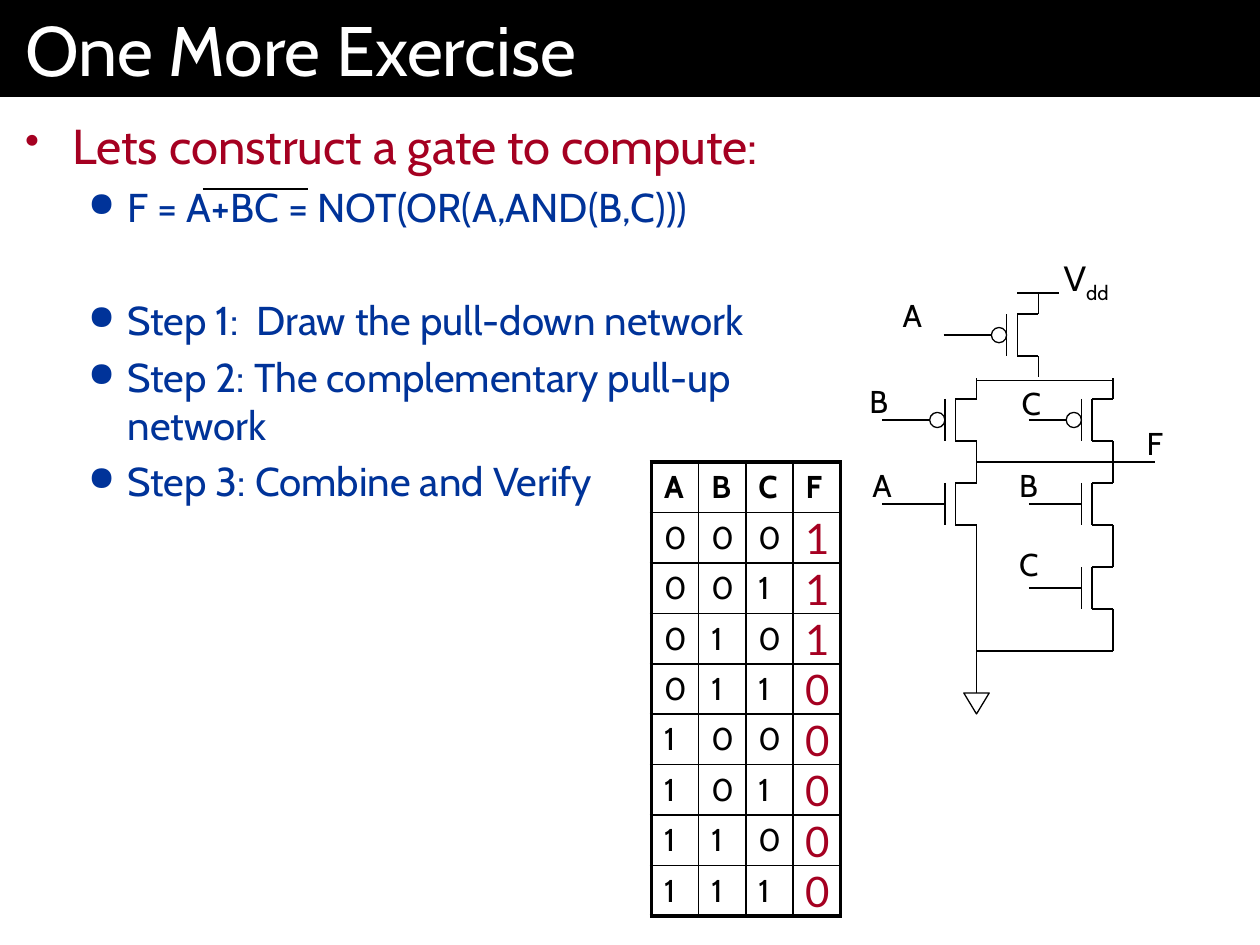
"""Build a slide on making a CMOS gate, with bullets, truth table and circuit."""
from lxml import etree
from pptx import Presentation
from pptx.dml.color import RGBColor
from pptx.enum.shapes import MSO_CONNECTOR, MSO_SHAPE
from pptx.enum.text import MSO_ANCHOR, PP_ALIGN
from pptx.oxml.ns import qn
from pptx.util import Pt

LINE = MSO_CONNECTOR.STRAIGHT
RECT, OVAL, TRI = MSO_SHAPE.RECTANGLE, MSO_SHAPE.OVAL, MSO_SHAPE.ISOSCELES_TRIANGLE
MID, LEFT, CENTER = MSO_ANCHOR.MIDDLE, PP_ALIGN.LEFT, PP_ALIGN.CENTER
BLACK, WHITE = RGBColor(0, 0, 0), RGBColor(255, 255, 255)
RED, BLUE = RGBColor(0xA5, 0x00, 0x21), RGBColor(0x00, 0x33, 0x99)
FONT, DIGIT = "Cabin", "Lato"

TITLE = "One More Exercise"
TOP = {"size": 28, "color": RED, "mark": "•", "left": 27, "hang": 27, "level": 0}
SUB = {"size": 23, "color": BLUE, "mark": "●", "left": 58.5, "hang": 22.5, "level": 1}
BODY = [
    ("Lets construct a gate to compute:", TOP, 5.6),
    ("F = A+BC = NOT(OR(A,AND(B,C)))", SUB, 4.6),
    ("Step 1:  Draw the pull-down network", SUB, 37),
    ("Step 2: The complementary pull-up network", SUB, 4.6),
    ("Step 3: Combine and Verify", SUB, 4.6),
]
HEADS = "ABCF"
INPUTS = ["000", "001", "010", "011", "100", "101", "110", "111"]
RESULTS = "11100000"

# Each gate: drain x, middle y, input x, pull-up
GATES = [
    (558, 288, 504, False), (636, 288, 588, False), (636, 336, 588, False),
    (593.25, 191.5, 539.25, True), (558, 240, 504, True), (636, 240, 588, True),
]
WIRES = [
    (558, 264, 660, 264), (558, 312, 558, 396), (636, 360, 636, 372),
    (636, 372, 558, 372), (581.25, 167.5, 605, 167.5),
    (558, 217.25, 636, 217.25), (116, 108, 175.75, 108),
]
LABELS = [
    ("F", 660, 239), ("A", 504, 262.75), ("B", 587.75, 262.75),
    ("C", 587.75, 308), ("A", 521.25, 165.5), ("B", 502.25, 214.5),
    ("C", 589.25, 216),
]


def style(para, size, color=BLACK, name=FONT, align=LEFT):
    para.alignment = align
    font = para.font
    font.size, font.name, font.color.rgb = Pt(size), name, color


def inset(frame, side, edge):
    frame.margin_left = frame.margin_right = Pt(side)
    frame.margin_top = frame.margin_bottom = Pt(edge)


def box(shapes, x, y, w, h):
    return shapes.add_textbox(Pt(x), Pt(y), Pt(w), Pt(h)).text_frame


def wire(shapes, x1, y1, x2, y2):
    line = shapes.add_connector(LINE, Pt(x1), Pt(y1), Pt(x2), Pt(y2))
    line.line.color.rgb, line.line.width = BLACK, Pt(0.75)
    etree.SubElement(line._element.spPr, qn("a:effectLst"))


def solid(shapes, kind, x, y, w, h, fill=None):
    shape = shapes.add_shape(kind, Pt(x), Pt(y), Pt(w), Pt(h))
    shape.shadow.inherit = False
    if fill is None:
        shape.fill.background()
    else:
        shape.fill.solid()
        shape.fill.fore_color.rgb = fill
    shape.line.color.rgb, shape.line.width = BLACK, Pt(0.75)
    return shape


def gate(shapes, x, y, start, pull):
    plate, bar = x - 18, x - 12
    for col in (plate, bar):
        wire(shapes, col, y - 12, col, y + 12)
    for side in (-1, 1):
        wire(shapes, bar, y + 12 * side, x, y + 12 * side)
        wire(shapes, x, y + 12 * side, x, y + 24 * side)
    wire(shapes, start, y, plate, y)
    if pull:
        solid(shapes, OVAL, plate - 8.75, y - 4.35, 8.7, 8.7, WHITE)


def bullet(para, look, gap):
    style(para, look["size"], look["color"])
    para.level, para.space_before = look["level"], Pt(gap)
    props = para._p.get_or_add_pPr()
    props.set("marL", str(Pt(look["left"])))
    props.set("indent", str(-Pt(look["hang"])))
    tint = etree.Element(qn("a:buClr"))
    etree.SubElement(tint, qn("a:srgbClr"), val=str(look["color"]))
    size = etree.Element(qn("a:buSzPct"), val="85000")
    mark = etree.Element(qn("a:buChar"), char=look["mark"])
    spot = list(props).index(props.find(qn("a:spcBef"))) + 1
    props[spot:spot] = [tint, size, mark]


def border(cell, sides):
    props = cell._tc.get_or_add_tcPr()
    for tag, thick in zip(("a:lnL", "a:lnR", "a:lnT", "a:lnB"), sides):
        edge = etree.SubElement(props, qn(tag), w=str(Pt(2.25 if thick else 1)))
        fill = etree.SubElement(edge, qn("a:solidFill"))
        etree.SubElement(fill, qn("a:srgbClr"), val=str(BLACK))
    cell.fill.background()


def truth(shapes):
    rows = [HEADS] + [bits + " " for bits in INPUTS]
    high, wide = len(rows), len(HEADS)
    frame = shapes.add_table(high, wide, Pt(372.25), Pt(264), Pt(108), Pt(28.8 * high))
    table = frame.table
    table.first_row = table.horz_banding = False
    for row in table.rows:
        row.height = Pt(28.8)
    for r, row in enumerate(rows):
        for c, text in enumerate(row):
            cell = table.cell(r, c)
            cell.text = text.strip()
            para = cell.text_frame.paragraphs[0]
            style(para, 18)
            para.font.bold = r == 0
            border(cell, (c == 0, c == wide - 1, r == 0, r == high - 1))
    frame = box(shapes, 453, 289.5, 28, 239.75)
    frame.word_wrap = False
    frame.text = "\n".join(RESULTS)
    for para in frame.paragraphs:
        style(para, 24, RED, DIGIT, CENTER)


def main():
    deck = Presentation()
    deck.slide_width, deck.slide_height = Pt(720), Pt(540)
    shapes = deck.slides.add_slide(deck.slide_layouts[6]).shapes

    head = solid(shapes, RECT, 0, 0, 720, 55.4, BLACK)
    head.line.fill.background()
    frame = head.text_frame
    frame.text, frame.vertical_anchor = TITLE, MID
    inset(frame, 14.4, 3.6)
    style(frame.paragraphs[0], 40, WHITE)

    frame = box(shapes, 0, 55.4, 489.6, 484.6)
    frame.word_wrap = True
    inset(frame, 14.4, 10.8)
    frame.text = "\n".join(text for text, _, _ in BODY)
    for para, (_, look, gap) in zip(frame.paragraphs, BODY):
        bullet(para, look, gap)

    for item in GATES:
        gate(shapes, *item)
    for ends in WIRES:
        wire(shapes, *ends)
    for text, x, y in LABELS:
        frame = box(shapes, x - 12.5, y, 25, 28.8)
        frame.word_wrap = False
        frame.text = text
        style(frame.paragraphs[0], 18, align=CENTER)

    frame = box(shapes, 599.75, 143.25, 41.75, 31.7)
    frame.word_wrap = False
    para = frame.paragraphs[0]
    style(para, 20, align=CENTER)
    para.add_run().text = "V"
    low = para.add_run()
    low.text = "dd"
    low._r.get_or_add_rPr().set("baseline", "-25000")

    solid(shapes, TRI, 550.75, 396, 14.5, 12).rotation = 180
    truth(shapes)
    deck.save("out.pptx")


if __name__ == "__main__":
    main()
